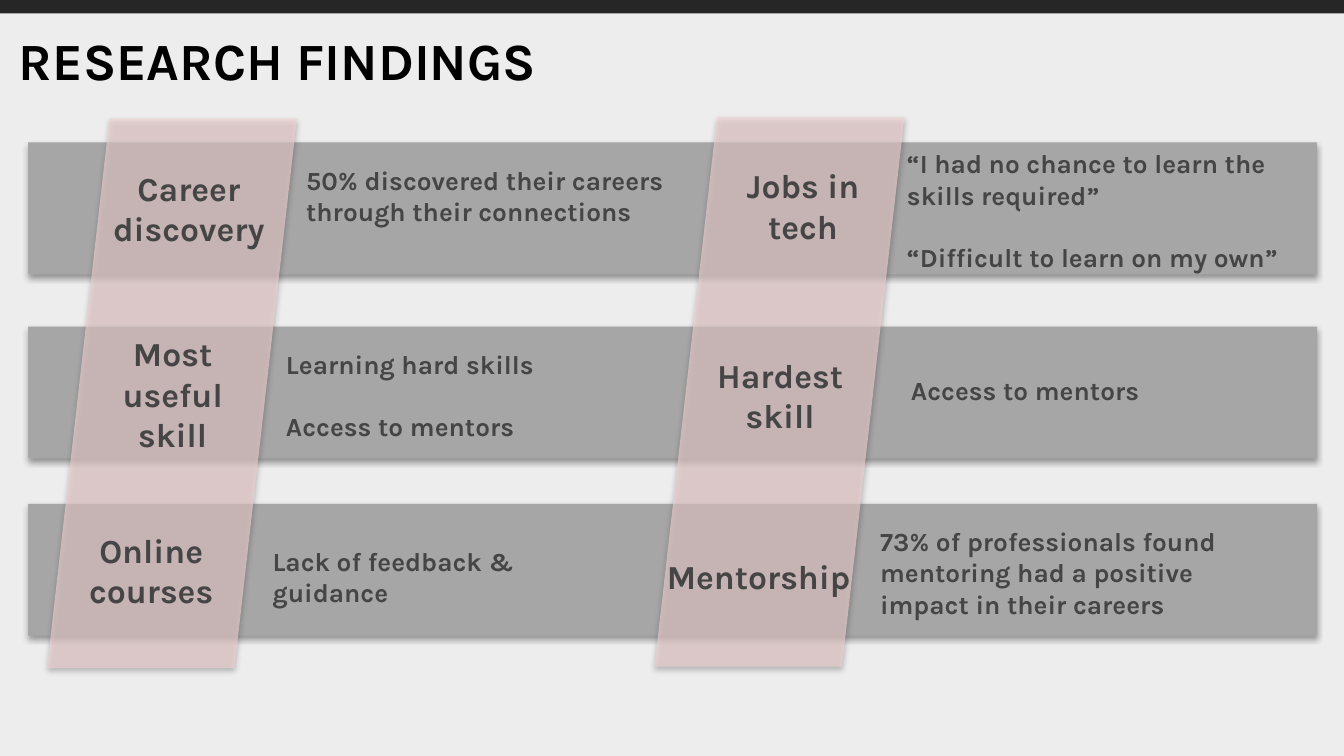
from lxml.etree import SubElement
from pptx import Presentation
from pptx.dml.color import RGBColor
from pptx.enum.shapes import MSO_SHAPE as Shape
from pptx.enum.text import MSO_AUTO_SIZE as AutoSize, PP_ALIGN as Align
from pptx.oxml.ns import qn
from pptx.util import Inches, Pt

COLORS = {
    "page": "EDEDED", "top": "262626", "band": "A6A6A6", "slant": "EFD1D1",
    "title": "000000", "text": "454545", "shadow": "000000",
}

deck = Presentation()
deck.slide_width = Inches(10)
deck.slide_height = deck.slide_width * 9 // 16
UNIT = deck.slide_width / 100  # the grid has 100 columns, with square cells

page = deck.slides.add_slide(deck.slide_layouts[6])
page.background.fill.solid()
page.background.fill.fore_color.rgb = RGBColor.from_string(COLORS["page"])


def add_block(kind, area, color, opacity=100, shadow=True):
    """Add a borderless shape; area is left, top, width, height in grid cells."""
    block = page.shapes.add_shape(kind, *(round(cells * UNIT) for cells in area))
    block.line.fill.background()
    block.fill.solid()
    block.fill.fore_color.rgb = RGBColor.from_string(COLORS[color])
    if opacity < 100:
        tint = block.fill._xPr.find(".//" + qn("a:srgbClr"))
        SubElement(tint, qn("a:alpha"), val=str(opacity * 1000))
    block.shadow.inherit = False
    if shadow:
        effects = block._element.spPr.find(qn("a:effectLst"))
        outer = SubElement(effects, qn("a:outerShdw"), blurRad=str(Pt(3)),
                           dist=str(Pt(1.8)), dir="5400000", rotWithShape="0")
        shade = SubElement(outer, qn("a:srgbClr"), val=COLORS["shadow"])
        SubElement(shade, qn("a:alpha"), val="35000")


def add_text(text, area, size, color="text", align=Align.LEFT):
    """Add a bold text box; each line of text is a paragraph, one line apart."""
    box = page.shapes.add_textbox(*(round(cells * UNIT) for cells in area))
    frame = box.text_frame
    frame.word_wrap = True
    frame.auto_size = AutoSize.SHAPE_TO_FIT_TEXT
    frame.text = text
    for index, para in enumerate(frame.paragraphs):
        para.alignment = align
        if index:
            para.space_before = Pt(size * 1.2)
        for span in para.runs:
            span.font.name = "Karla"
            span.font.size = Pt(size)
            span.font.bold = True
            span.font.color.rgb = RGBColor.from_string(COLORS[color])
    return frame


title = add_text("RESEARCH FINDINGS", (0.9, 1.6, 89.2, 5.7), 28, "title")
title.margin_left = title.margin_right = Inches(0.05)

for top in (10.6, 24.3, 37.5):
    add_block(Shape.RECTANGLE, (2.1, top, 95.9, 9.8), "band")

for left, top in ((3.5, 8.8), (48.7, 8.7)):
    add_block(Shape.PARALLELOGRAM, (left, top, 18.6, 40.9), "slant", opacity=64)

topics = [
    ("Career discovery", (6.5, 12, 15.1, 7.1)),
    ("Most useful skill", (6, 24.3, 13.7, 10.1)),
    ("Online courses", (4.4, 38.9, 13.7, 7.1)),
    ("Jobs in tech", (52.9, 11.8, 13.7, 7.1)),
    ("Hardest skill", (51.2, 25.9, 13.7, 7.1)),
    ("Mentorship", (48.1, 40.9, 16.7, 4)),
]
for text, area in topics:
    add_text(text, area, 18, align=Align.CENTER)

findings = [
    ("50% discovered their careers through their connections",
     (21.8, 11.7, 29, 8.1)),
    ("Learning hard skills\nAccess to mentors", (20.3, 25.4, 29, 8.1)),
    ("Lack of feedback & guidance", (19.3, 40.1, 29, 5.7)),
    ("“I had no chance to learn the skills required”\n"
     "“Difficult to learn on my own”", (66.5, 10.5, 32.1, 10.4)),
    ("Access to mentors", (66.8, 27.4, 29, 3.4)),
    ("73% of professionals found mentoring had a positive impact in their careers",
     (64.5, 38.6, 31.3, 8.1)),
]
for text, area in findings:
    add_text(text, area, 14)

add_block(Shape.RECTANGLE, (0, 0, 100, 1), "top", shadow=False)

deck.save("out.pptx")
